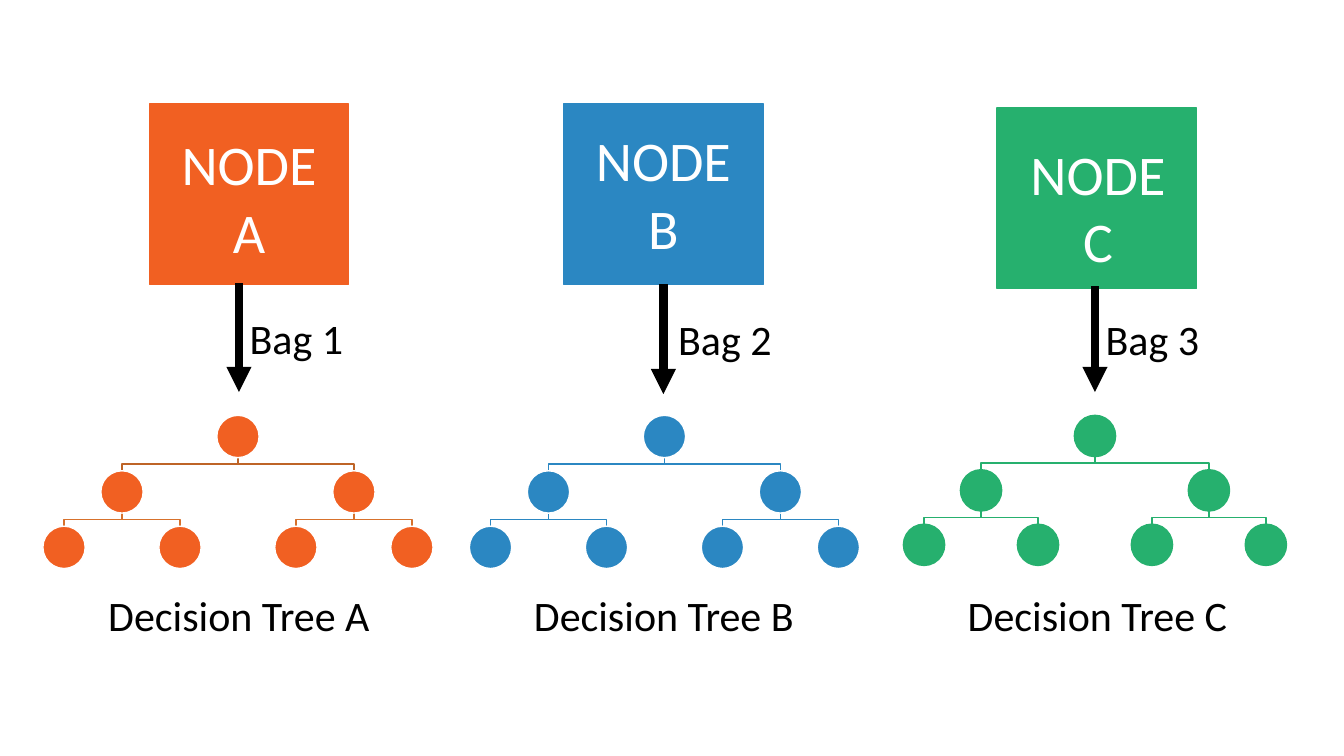
from lxml import etree
from pptx import Presentation
from pptx.dml.color import RGBColor
from pptx.enum.shapes import MSO_CONNECTOR, MSO_SHAPE
from pptx.enum.text import MSO_AUTO_SIZE, PP_ALIGN
from pptx.oxml.ns import qn
from pptx.util import Inches, Pt

ORANGE = RGBColor(0xF1, 0x60, 0x22)
DARK_ORANGE = RGBColor(0xBE, 0x64, 0x27)
LIGHT_ORANGE = RGBColor(0xD7, 0x71, 0x2C)
BLUE = RGBColor(0x2B, 0x87, 0xC2)
GREEN = RGBColor(0x26, 0xB0, 0x6E)
WHITE = RGBColor(0xFF, 0xFF, 0xFF)
BLACK = RGBColor(0x00, 0x00, 0x00)

BOX_WIDTH, BOX_HEIGHT = 1.98, 1.79
TREE_TOP = 4.12


def style_shape(shape, fill, line):
    shape.shadow.inherit = False
    if fill is None:
        shape.fill.background()
    else:
        shape.fill.solid()
        shape.fill.fore_color.rgb = fill
    shape.line.color.rgb = line
    shape.line.width = Pt(1)


def add_label(text, left, top, width, height, size, color):
    box = slide.shapes.add_textbox(Inches(left), Inches(top), Inches(width), Inches(height))
    box.text_frame.text = text
    box.text_frame.word_wrap = False
    box.text_frame.auto_size = MSO_AUTO_SIZE.SHAPE_TO_FIT_TEXT
    paragraph = box.text_frame.paragraphs[0]
    paragraph.alignment = PP_ALIGN.CENTER
    for run in paragraph.runs:
        run.font.name = "Calibri"
        run.font.size = Pt(size)
        run.font.color.rgb = color


presentation = Presentation()
presentation.slide_width = Inches(13.33)
presentation.slide_height = Inches(7.5)
slide = presentation.slides.add_slide(presentation.slide_layouts[6])

# Node boxes: left, top, colour
boxes = []
for left, top, color in [(1.48, 1.03, ORANGE), (5.59, 1.03, BLUE), (9.89, 1.07, GREEN)]:
    box = slide.shapes.add_shape(
        MSO_SHAPE.RECTANGLE, Inches(left), Inches(top), Inches(BOX_WIDTH), Inches(BOX_HEIGHT))
    style_shape(box, color, color)
    boxes.append(box)

# Arrows from boxes to trees: x, start, end
arrows = []
for x, start, end in [(2.37, 2.81, 3.89), (6.58, 2.81, 3.91), (10.86, 2.84, 3.89)]:
    arrow = slide.shapes.add_connector(
        MSO_CONNECTOR.STRAIGHT, Inches(x), Inches(start), Inches(x), Inches(end))
    arrow.line.color.rgb = BLACK
    arrow.line.width = Pt(6)
    etree.SubElement(arrow.line._get_or_add_ln(), qn("a:tailEnd"), type="triangle")
    etree.SubElement(arrow._element.spPr, qn("a:effectLst"))
    arrows.append(arrow)
arrows[1].begin_connect(boxes[1], 2)

# Decision trees: root centre, leaf gap, level step, diameter, fill, outline, branch colours
trees = [
    (2.36, 1.15, 0.55, 0.42, ORANGE, WHITE, (DARK_ORANGE, LIGHT_ORANGE)),
    (6.59, 1.15, 0.55, 0.42, BLUE, WHITE, (BLUE, BLUE)),
    (10.86, 1.13, 0.54, 0.41, GREEN, GREEN, (GREEN, GREEN)),
]
for root, leaf_gap, step, diameter, fill, outline, branch_colors in trees:
    group = slide.shapes.add_group_shape()
    levels = []
    for level in range(3):
        count = 2 ** level
        gap = leaf_gap * 4 / count
        levels.append([root + gap * (i - (count - 1) / 2) for i in range(count)])

    # Branches run from the bottom of a parent to the top of a child
    for level in (1, 2):
        child_top = TREE_TOP + level * step
        parent_bottom = child_top - step + diameter
        middle = (parent_bottom + child_top) / 2
        for i, child in enumerate(levels[level]):
            parent = levels[level - 1][i // 2]
            builder = group.shapes.build_freeform(Inches(parent), Inches(parent_bottom))
            builder.add_line_segments(
                [(Inches(x), Inches(y)) for x, y in
                 [(parent, middle), (child, middle), (child, child_top)]],
                close=False)
            style_shape(builder.convert_to_shape(), None, branch_colors[level - 1])

    for level, centres in enumerate(levels):
        for centre in centres:
            circle = group.shapes.add_shape(
                MSO_SHAPE.OVAL, Inches(centre - diameter / 2), Inches(TREE_TOP + level * step),
                Inches(diameter), Inches(diameter))
            style_shape(circle, fill, outline)

# Labels: letter, node left and top, bag left and top, tree left and width
labels = [
    ("A", 1.69, 1.24, 2.37, 3.05, 0.96, 2.82),
    ("B", 5.8, 1.2, 6.62, 3.06, 5.19, 2.79),
    ("C", 10.11, 1.33, 10.86, 3.06, 9.49, 2.79),
]
for number, (letter, node_left, node_top, bag_left, bag_top, tree_left, tree_width) in enumerate(labels, 1):
    add_label(f"NODE\v{letter}", node_left, node_top, 1.56, 1.45, 40, WHITE)
    add_label(f"Bag {number}", bag_left, bag_top, 1.14, 0.61, 30, BLACK)
    add_label(f"Decision Tree {letter}", tree_left, 5.8, tree_width, 0.61, 30, BLACK)

presentation.save("out.pptx")
